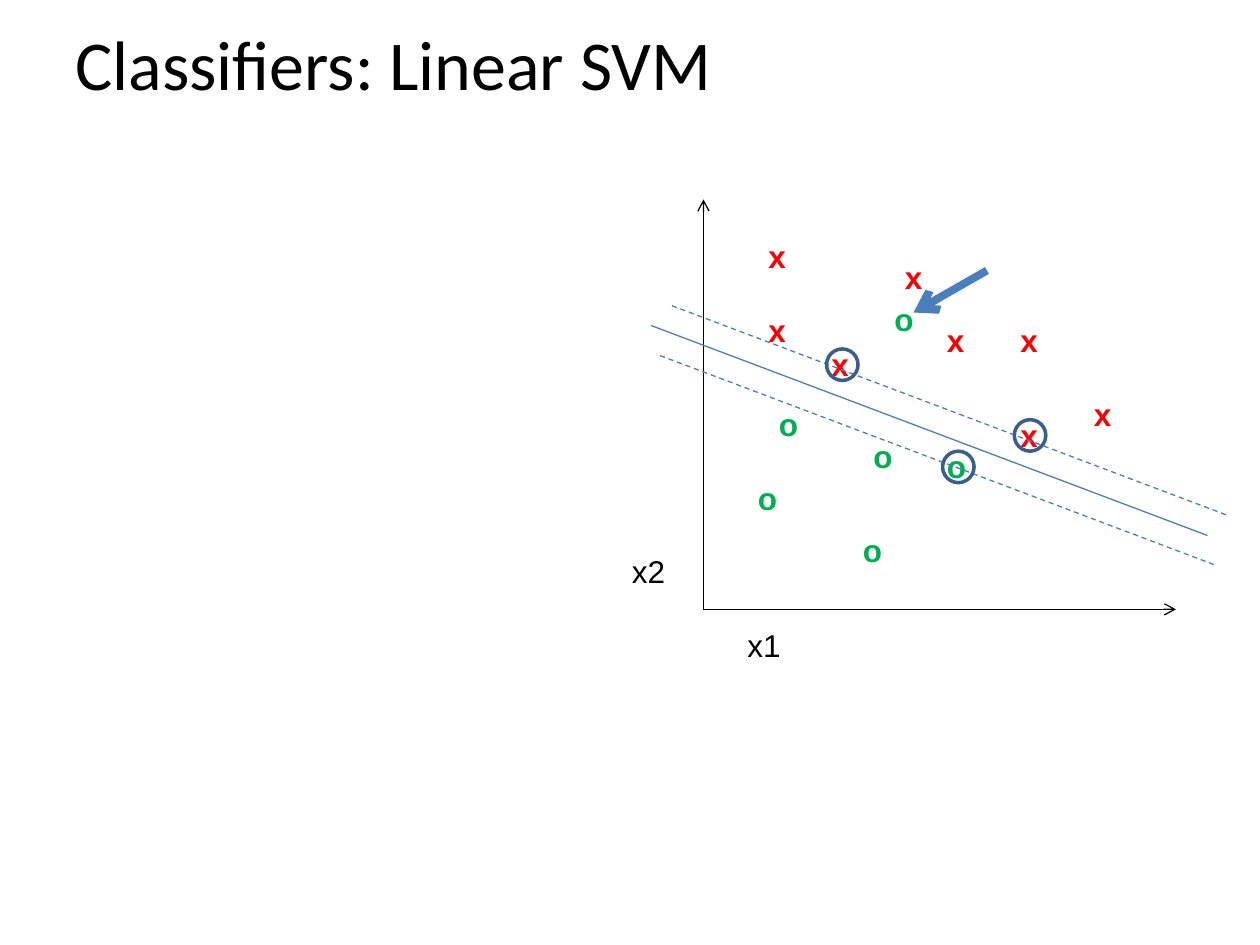
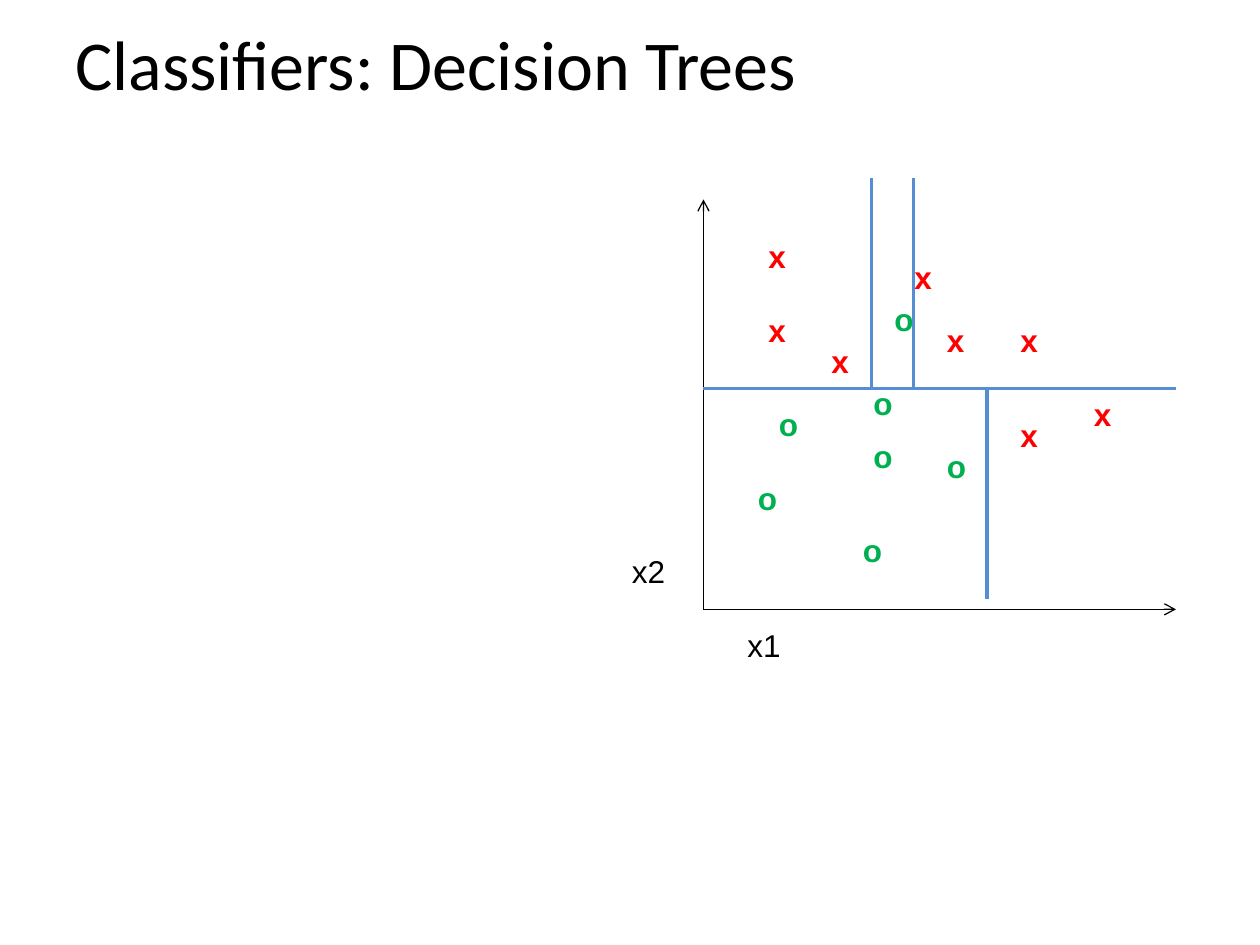
import dataclasses
import pptx
import pptx.util
import pptx.dml.color
import pptx.enum.dml
import pptx.enum.shapes
import pptx.enum.text
import pptx.oxml

Pt = pptx.util.Pt
RGB = pptx.dml.color.RGBColor.from_string


@dataclasses.dataclass
class Theme:
    ink: str = "000000"
    positive: str = "FF0000"
    negative: str = "00B050"
    margin: str = "4B7EBC"
    support: str = "3A5F8C"
    split: str = "558ED5"
    title_font: str = "Calibri"
    body_font: str = "Arial"
    title_size: float = 40
    body_size: float = 18
    thin: float = 0.75
    ring: float = 2
    thick: float = 2.25
    pointer: float = 4.5


theme = Theme()


def write_text(slide, text, left, top, width, height=28.8, size=theme.body_size,
               font=theme.body_font, color=theme.ink, bold=False, wrap=False,
               anchor=pptx.enum.text.MSO_ANCHOR.TOP):
    frame = slide.shapes.add_textbox(Pt(left), Pt(top), Pt(width), Pt(height)).text_frame
    frame.word_wrap = wrap
    frame.vertical_anchor = anchor
    paragraph = frame.paragraphs[0]
    run = paragraph.add_run()
    run.text = text
    run.font.name = font
    run.font.size = Pt(size)
    run.font.bold = bold
    run.font.color.rgb = RGB(color)


def draw_line(slide, start, end, color, weight=theme.thin, dashed=False, arrow=False):
    connector = slide.shapes.add_connector(
        pptx.enum.shapes.MSO_CONNECTOR.STRAIGHT, *map(Pt, start + end))
    connector.line.color.rgb = RGB(color)
    connector.line.width = Pt(weight)
    if dashed:
        connector.line.dash_style = pptx.enum.dml.MSO_LINE.DASH
    properties = connector._element.spPr
    if arrow:
        outline = connector.line._get_or_add_ln()
        head = pptx.oxml.parse_xml(
            '<a:tailEnd xmlns:a="http://schemas.openxmlformats.org/drawingml/2006/main"'
            ' type="arrow"/>')
        outline.append(head)
    properties.append(pptx.oxml.parse_xml(
        '<a:effectLst xmlns:a="http://schemas.openxmlformats.org/drawingml/2006/main"/>'))


presentation = pptx.Presentation()
presentation.slide_width = Pt(720)
presentation.slide_height = Pt(540)

shared_positives = [(534, 180), (576, 180), (576, 234), (618, 222), (432, 132), (432, 174)]
shared_negatives = [(504, 168), (534, 252), (426, 270), (438, 228), (486, 300), (492, 246)]
examples = [
    ("Classifiers: Linear SVM", [(510, 144), (468, 193.7)], []),
    ("Classifiers: Decision Trees", [(515.5, 144), (468, 192)], [(492, 216)]),
]
origin = (402, 348.2)

slides = []
for title, own_positives, own_negatives in examples:
    slide = presentation.slides.add_slide(presentation.slide_layouts[6])
    slides.append(slide)
    write_text(slide, title, 36, 0, 648, 72, size=theme.title_size, font=theme.title_font,
               wrap=True, anchor=pptx.enum.text.MSO_ANCHOR.MIDDLE)
    for mark, width, color, points in [
        ("x", 24.5, theme.positive, shared_positives + own_positives),
        ("o", 25.6, theme.negative, shared_negatives + own_negatives),
    ]:
        for left, top in points:
            write_text(slide, mark, left, top, width, color=color, bold=True)
    for axis_end in [(402, 114), (672, 348.2)]:
        draw_line(slide, origin, axis_end, theme.ink, arrow=True)
    for axis_name, left, top in [("x2", 354, 312), ("x1", 420, 354)]:
        write_text(slide, axis_name, left, top, 33.6)

svm, tree = slides

for left, top, dashed in [(372, 186, False), (384, 174.7, True), (377.2, 203.2, True)]:
    draw_line(svm, (left, top), (left + 318, top + 120), theme.margin, dashed=dashed)
for left, top in [(472.3, 199.4), (579.6, 239.8), (538.6, 257.8)]:
    support_vector = svm.shapes.add_shape(
        pptx.enum.shapes.MSO_SHAPE.OVAL, Pt(left), Pt(top), Pt(18), Pt(18))
    support_vector.shadow.inherit = False
    support_vector.fill.background()
    support_vector.line.color.rgb = RGB(theme.support)
    support_vector.line.width = Pt(theme.ring)
draw_line(svm, (564, 154.6), (522, 178.6), theme.margin, weight=theme.pointer, arrow=True)

for start, end in [((402, 222), (672, 222)), ((564, 222), (564, 342)),
                   ((498, 102), (498, 222)), ((522, 102), (522, 222))]:
    draw_line(tree, start, end, theme.split, weight=theme.thick)

presentation.save("out.pptx")
